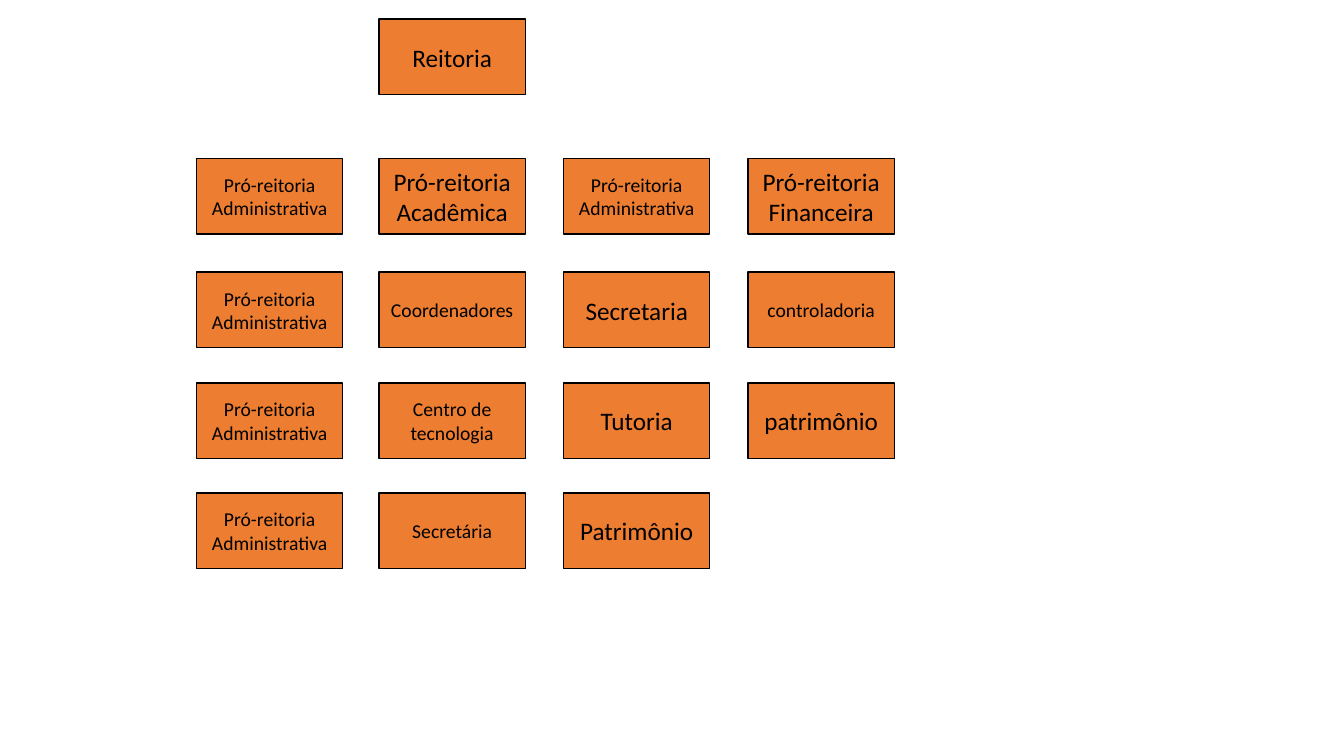
"""Build the organisation chart of a university rectorate."""
from dataclasses import dataclass

import pptx
import pptx.dml.color
import pptx.enum.shapes
import pptx.enum.text
import pptx.util
from pptx.util import Inches


@dataclass(frozen=True)
class Theme:
    fill: str = "ED7D31"
    ink: str = "000000"
    font: str = "Calibri"
    large: int = 18
    small: int = 14
    border: float = 1


class OrgChart:
    def __init__(self, slide, theme):
        self.slide = slide
        self.theme = theme

    def color(self, value):
        return pptx.dml.color.RGBColor.from_string(value)

    def unit(self, label, size, left, top):
        box = self.slide.shapes.add_shape(
            pptx.enum.shapes.MSO_SHAPE.RECTANGLE,
            Inches(left), Inches(top), Inches(1.45), Inches(0.75))
        box.shadow.inherit = False
        box.fill.solid()
        box.fill.fore_color.rgb = self.color(self.theme.fill)
        box.line.color.rgb = self.color(self.theme.ink)
        box.line.width = pptx.util.Pt(self.theme.border)
        frame = box.text_frame
        frame.word_wrap = True
        frame.vertical_anchor = pptx.enum.text.MSO_ANCHOR.MIDDLE
        frame.text = label
        for paragraph in frame.paragraphs:
            paragraph.alignment = pptx.enum.text.PP_ALIGN.CENTER
            paragraph.font.name = self.theme.font
            paragraph.font.size = pptx.util.Pt(size)
            paragraph.font.color.rgb = self.color(self.theme.ink)


theme = Theme()
presentation = pptx.Presentation()
presentation.slide_width = Inches(13.33)
presentation.slide_height = Inches(7.5)
chart = OrgChart(presentation.slides.add_slide(presentation.slide_layouts[6]), theme)

administration = ("Pró-reitoria\nAdministrativa", theme.small)
column_lefts = (1.95, 3.76, 5.59, 7.42)
levels = (
    (1.57, (administration, ("Pró-reitoria\nAcadêmica", theme.large),
            administration, ("Pró-reitoria\nFinanceira", theme.large))),
    (2.7, (administration, ("Coordenadores", theme.small),
           ("Secretaria", theme.large), ("controladoria", theme.small))),
    (3.8, (administration, ("Centro de tecnologia", theme.small),
           ("Tutoria", theme.large), ("patrimônio", theme.large))),
    (4.89, (administration, ("Secretária", theme.small),
            ("Patrimônio", theme.large))),
)

chart.unit("Reitoria", theme.large, column_lefts[1], 0.19)
for level_top, units in levels:
    for column_left, (label, size) in zip(column_lefts, units):
        chart.unit(label, size, column_left, level_top)

presentation.save("out.pptx")
